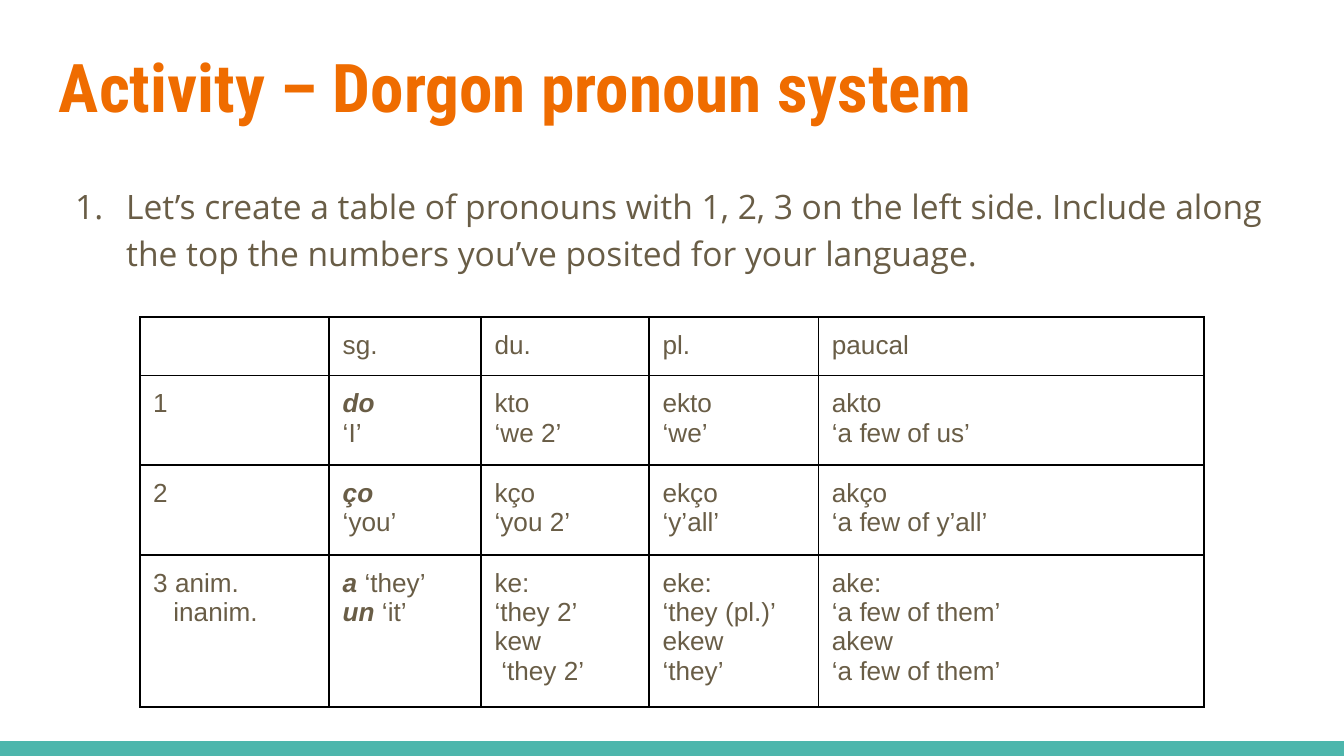
"""Build the slide on the Dorgon pronoun system."""
from lxml import etree
from pptx import Presentation
from pptx.dml.color import RGBColor
from pptx.enum.shapes import MSO_SHAPE
from pptx.oxml.ns import qn
from pptx.util import Inches, Pt

RECT = MSO_SHAPE.RECTANGLE
TEAL = RGBColor(0x4D, 0xB6, 0xAC)
ORANGE = RGBColor(0xEF, 0x6C, 0x00)
BROWN = RGBColor(0x69, 0x5D, 0x46)
BLACK = RGBColor(0, 0, 0)

WIDE = 10
HIGH = WIDE * 9 / 16
EDGE = 0.34
SPACE = 0.05
HEAD = {"size": Pt(36), "name": "Roboto Condensed", "bold": True}
BODY = {"size": Pt(18), "name": "Open Sans"}
CELL = {"size": Pt(14), "name": "Arial"}
STRONG = {"bold": True, "italic": True}

TASK = ("Let’s create a table of pronouns with 1, 2, 3 on the left side. "
        "Include along the top the numbers you’ve posited for your language.")
COLS = [1.41, 1.13, 1.25, 1.26, 2.87]
ROWS = [0.42, 0.49, 0.42, 0.42]
WORDS = [
    ["", "sg.", "du.", "pl.", "paucal"],
    ["1", "*do*\n‘I’", "kto\n‘we 2’", "ekto\n‘we’", "akto\n‘a few of us’"],
    ["2", "*ço*\n‘you’", "kço\n‘you 2’", "ekço\n‘y’all’",
     "akço\n‘a few of y’all’"],
    ["3 anim.\n   inanim.", "*a* ‘they’\n*un* ‘it’",
     "ke:\n‘they 2’\nkew\n ‘they 2’",
     "eke:\n‘they (pl.)’\nekew\n‘they’",
     "ake:\n‘a few of them’\nakew\n‘a few of them’"],
]


def style(font, color, *looks):
    """Apply format values and a colour to a font."""
    for look in looks:
        for key, value in look.items():
            setattr(font, key, value)
    font.color.rgb = color


def write(para, text, look, color):
    """Write a line, with parts between asterisks made strong."""
    for i, part in enumerate(text.split("*")):
        if part:
            run = para.add_run()
            run.text = part
            style(run.font, color, look, STRONG if i % 2 else {})


def indent(para, left, first=0):
    """Set the left and first-line indents of a paragraph."""
    props = para._p.get_or_add_pPr()
    props.set("marL", str(Inches(left)))
    props.set("indent", str(Inches(first)))
    return props


def pad(part):
    """Give a text frame or cell equal margins."""
    for side in ("left", "top", "right", "bottom"):
        setattr(part, "margin_" + side, Inches(0.1))


def add_text(slide, top, height, text, look, color):
    """Add a full-width text box and return its paragraph."""
    box = slide.shapes.add_textbox(
        Inches(EDGE), Inches(top), Inches(WIDE - 2 * EDGE), Inches(height))
    frame = box.text_frame
    frame.word_wrap = True
    pad(frame)
    para = frame.paragraphs[0]
    write(para, text, look, color)
    return para


def number(para):
    """Turn a paragraph into a numbered item."""
    para.line_spacing = 1.15
    props = indent(para, 0.5, -0.38)
    tint = etree.SubElement(props, qn("a:buClr"))
    etree.SubElement(tint, qn("a:srgbClr"), val=str(BROWN))
    etree.SubElement(props, qn("a:buFont"), typeface=BODY["name"])
    etree.SubElement(props, qn("a:buAutoNum"), type="arabicPeriod")


def border(cell):
    """Draw thin black lines round a cell."""
    props = cell._tc.get_or_add_tcPr()
    for side in "LRTB":
        line = etree.SubElement(props, qn("a:ln" + side), w=str(Pt(1)))
        fill = etree.SubElement(line, qn("a:solidFill"))
        etree.SubElement(fill, qn("a:srgbClr"), val=str(BLACK))


def fill_cell(cell, text):
    """Format a cell and write its lines, indented by leading spaces."""
    border(cell)
    cell.fill.background()
    pad(cell)
    frame = cell.text_frame
    for i, line in enumerate(text.split("\n")):
        para = frame.add_paragraph() if i else frame.paragraphs[0]
        words = line.lstrip()
        if words != line:
            indent(para, SPACE * (len(line) - len(words)))
        write(para, words, CELL, BROWN)
        end = para._p.get_or_add_endParaRPr()
        end.set("sz", str(int(CELL["size"].pt * 100)))


def add_grid(slide, left, top, high):
    """Add the pronoun table, whose rows grow with their text."""
    frame = slide.shapes.add_table(
        len(ROWS), len(COLS), Inches(left), Inches(top),
        Inches(sum(COLS)), Inches(high))
    table = frame.table
    table.first_row = table.horz_banding = False
    for col, width in zip(table.columns, COLS):
        col.width = Inches(width)
    for row, height, words in zip(table.rows, ROWS, WORDS):
        row.height = Inches(height)
        for cell, text in zip(row.cells, words):
            fill_cell(cell, text)
    frame.height = Inches(high)


def add_band(slide, height):
    """Add the coloured band along the foot of the slide."""
    band = slide.shapes.add_shape(
        RECT, 0, Inches(HIGH - height), Inches(WIDE), Inches(height))
    band.shadow.inherit = False
    band.fill.solid()
    band.fill.fore_color.rgb = TEAL
    band.line.fill.background()


def main():
    """Build and save the slide."""
    deck = Presentation()
    deck.slide_width, deck.slide_height = Inches(WIDE), Inches(HIGH)
    slide = deck.slides.add_slide(deck.slide_layouts[6])
    add_band(slide, 0.11)
    add_text(slide, 0.24, 0.77, "Activity – Dorgon pronoun system",
             HEAD, ORANGE)
    number(add_text(slide, 1.24, 3.61, TASK, BODY, BROWN))
    add_grid(slide, (WIDE - sum(COLS)) / 2, 2.36, 2.9)
    deck.save("out.pptx")


if __name__ == "__main__":
    main()
